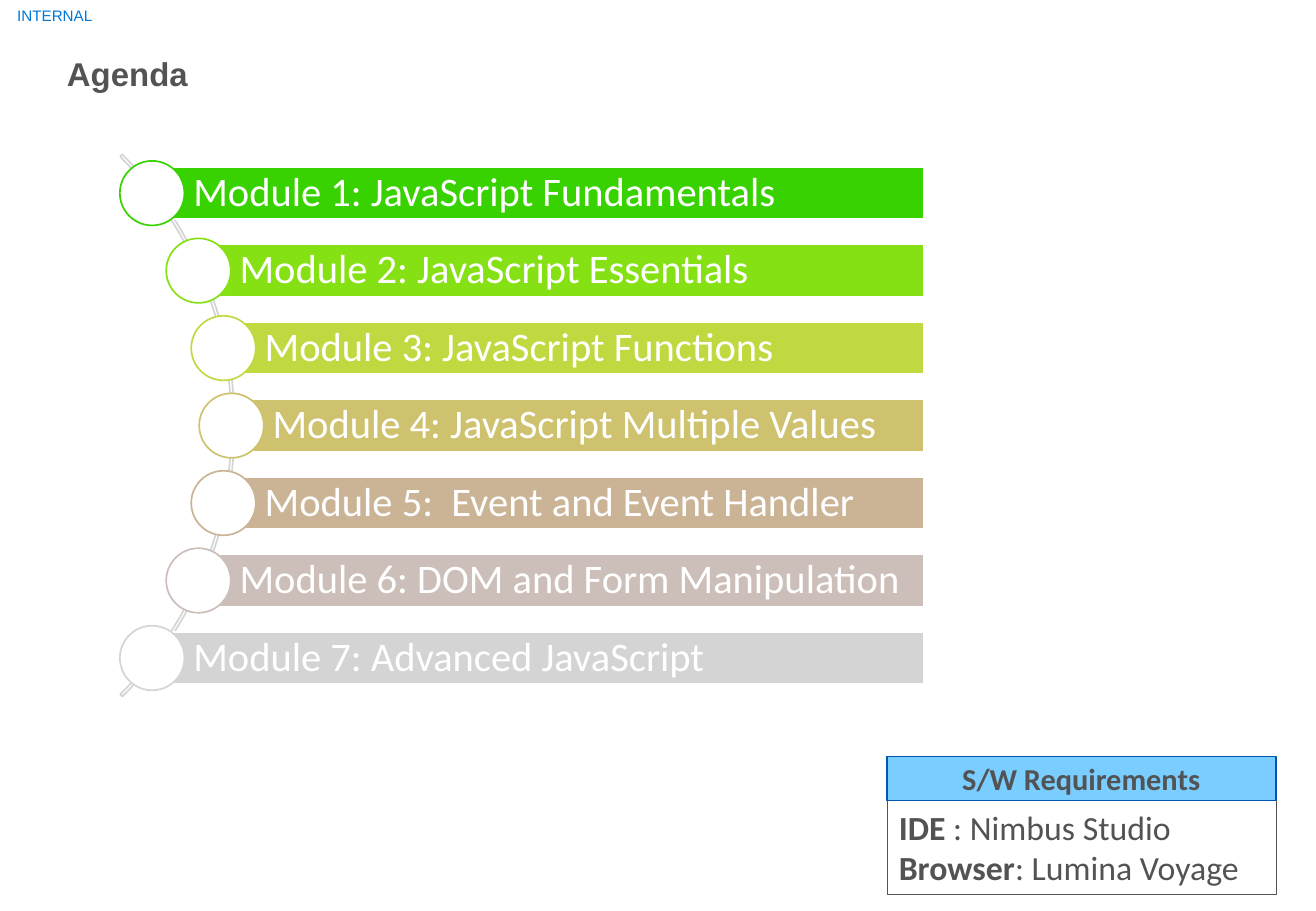
from math import sqrt

from pptx import Presentation
from pptx.dml.color import RGBColor
from pptx.enum.shapes import MSO_SHAPE
from pptx.enum.text import MSO_ANCHOR, PP_ALIGN
from pptx.util import Cm, Pt

RECTANGLE, OVAL, ARC = MSO_SHAPE.RECTANGLE, MSO_SHAPE.OVAL, MSO_SHAPE.BLOCK_ARC
TOP, MIDDLE = MSO_ANCHOR.TOP, MSO_ANCHOR.MIDDLE
LEFT, CENTER = PP_ALIGN.LEFT, PP_ALIGN.CENTER

WHITE, GREY, PALE = "FFFFFF", "525355", "D4D4D4"
MODULES = [
    ("Module 1: JavaScript Fundamentals", "38D200"),
    ("Module 2: JavaScript Essentials", "86E114"),
    ("Module 3: JavaScript Functions", "C1D940"),
    ("Module 4: JavaScript Multiple Values", "CFC26E"),
    ("Module 5:  Event and Event Handler", "CBB496"),
    ("Module 6: DOM and Form Manipulation", "CCBEB8"),
    ("Module 7: Advanced JavaScript", PALE),
]
REQUIREMENTS = [("IDE", " : Nimbus Studio"), ("Browser", ": Lumina Voyage")]

# Geometry of the curved list, in centimetres
ARC_X, ARC_Y, ARC_SIZE = -3.11, 8.9, 16.03
CURVE_RADIUS, STEP = 7.95, 1.62
BAR_RIGHT, BAR_HEIGHT, DOT_SIZE = 19.32, 1.09, 1.35


def color(code):
    return RGBColor.from_string(code)


def add_figure(page, kind, left, top, width, height, fill, line, weight=1):
    figure = page.shapes.add_shape(kind, Cm(left), Cm(top), Cm(width), Cm(height))
    figure.shadow.inherit = False
    if fill:
        figure.fill.solid()
        figure.fill.fore_color.rgb = color(fill)
    else:
        figure.fill.background()
    figure.line.color.rgb = color(line)
    figure.line.width = Pt(weight)
    return figure


def set_frame(box, anchor, insets=(0.25, 0.13, 0.25, 0.13)):
    frame = box.text_frame
    frame.word_wrap = True
    frame.vertical_anchor = anchor
    frame.margin_left, frame.margin_top, frame.margin_right, frame.margin_bottom = map(Cm, insets)
    return frame


def style(para, size, code, name="Calibri", bold=None, align=LEFT):
    para.alignment = align
    font = para.font
    font.name, font.size, font.bold = name, Pt(size), bold
    font.color.rgb = color(code)


def add_label(page, left, top, width, height, text, size, code, anchor, bold=None):
    box = page.shapes.add_textbox(Cm(left), Cm(top), Cm(width), Cm(height))
    para = set_frame(box, anchor, (0, 0, 0, 0)).paragraphs[0]
    para.text = text
    style(para, size, code, "Arial", bold)
    return para


def add_module(page, offset, text, code):
    """Bar and dot whose centre lies on the curve, offset from its middle."""
    x = ARC_X + sqrt(CURVE_RADIUS ** 2 - offset ** 2)
    y = ARC_Y + offset
    bar = add_figure(page, RECTANGLE, x, y - BAR_HEIGHT / 2,
                     BAR_RIGHT - x, BAR_HEIGHT, code, WHITE)
    para = set_frame(bar, MIDDLE, (0.86, 0.18, 0.18, 0.18)).paragraphs[0]
    para.text = text
    para.line_spacing = 0.9
    style(para, 24, WHITE)
    add_figure(page, OVAL, x - DOT_SIZE / 2, y - DOT_SIZE / 2,
               DOT_SIZE, DOT_SIZE, WHITE, code)


def add_requirements(page, left, top, width):
    header_height = 0.92
    body = add_figure(page, RECTANGLE, left, top + header_height, width, 1.96, None, GREY, 0.25)
    frame = set_frame(body, TOP)
    for index, (term, value) in enumerate(REQUIREMENTS):
        para = frame.add_paragraph() if index else frame.paragraphs[0]
        style(para, 20, GREY)
        span = para.add_run()
        span.text = term
        span.font.bold = True
        para.add_run().text = value

    header = add_figure(page, RECTANGLE, left, top, width, header_height, "79CDFF", "0355AD")
    para = set_frame(header, MIDDLE).paragraphs[0]
    para.text = "S/W Requirements"
    style(para, 18, GREY, bold=True, align=CENTER)


def main():
    deck = Presentation()
    deck.slide_width, deck.slide_height = Cm(27.51), Cm(19.05)
    page = deck.slides.add_slide(deck.slide_layouts[6])

    # Marking and title
    add_label(page, 0.36, 0, 2.2, 0.66, "INTERNAL", 9, "0078D7", MIDDLE)
    title = add_label(page, 1.4, 1.14, 22.58, 0.99, "Agenda", 19.5, GREY, TOP, True)
    title.line_spacing = Pt(22.8)

    # Curve behind the modules
    arc = add_figure(page, ARC, ARC_X - ARC_SIZE / 2, ARC_Y - ARC_SIZE / 2,
                     ARC_SIZE, ARC_SIZE, None, PALE)
    for index, value in enumerate((189, 27, 0.004)):
        arc.adjustments[index] = value

    # Modules
    middle = (len(MODULES) - 1) / 2
    for index, (text, code) in enumerate(MODULES):
        add_module(page, (index - middle) * STEP, text, code)

    # Software needed
    add_requirements(page, 18.54, 15.82, 8.13)
    deck.save("out.pptx")


if __name__ == "__main__":
    main()
